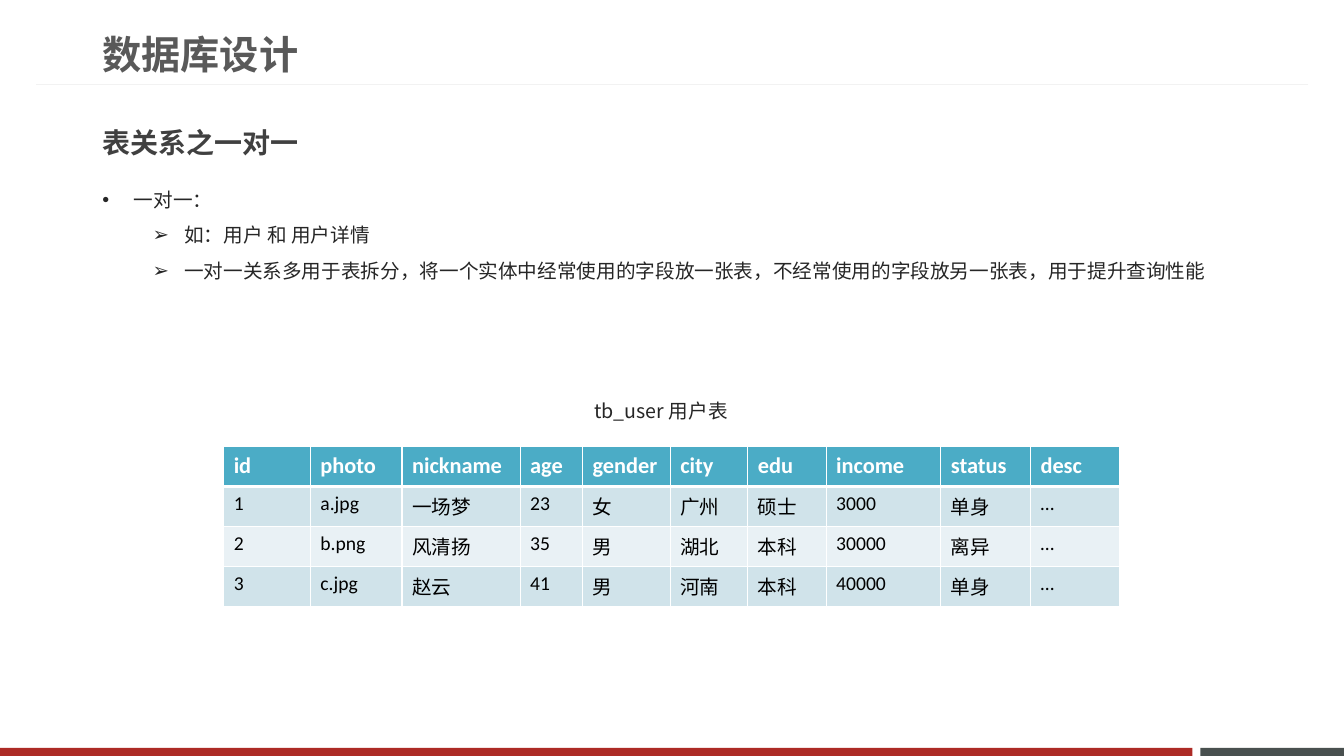
from lxml import etree
from pptx import Presentation
from pptx.dml.color import RGBColor
from pptx.enum.shapes import MSO_CONNECTOR, MSO_SHAPE
from pptx.enum.text import MSO_ANCHOR, MSO_AUTO_SIZE, PP_ALIGN
from pptx.oxml import parse_xml
from pptx.oxml.ns import nsdecls, qn
from pptx.util import Pt

RECT = MSO_SHAPE.RECTANGLE
STRAIGHT = MSO_CONNECTOR.STRAIGHT
MIDDLE = MSO_ANCHOR.MIDDLE
GROW = MSO_AUTO_SIZE.SHAPE_TO_FIT_TEXT
LEFT = PP_ALIGN.LEFT
CJK = "Noto Sans CJK SC"


def rgb(color):
    return RGBColor.from_string(color)


def write(p, text, size, color, bold=False, spacing=None, font=CJK):
    p.text = text
    p.alignment = LEFT
    if spacing:
        p.line_spacing = spacing
    r = p.runs[0]
    r.font.size = Pt(size)
    r.font.bold = bold
    r.font.name = font
    r.font.color.rgb = rgb(color)
    ea = etree.SubElement(r.font._element, qn("a:ea"))
    ea.set("typeface", CJK)


prs = Presentation()
prs.slide_width, prs.slide_height = Pt(960), Pt(540)
s = prs.slides.add_slide(prs.slide_layouts[5])

# Footer bars
for left, width, color in [(857.5, 102.5, "49504F"), (0, 851.8, "AD2B26")]:
    sp = s.shapes.add_shape(RECT, Pt(left), Pt(534.2), Pt(width), Pt(5.8))
    sp.shadow.inherit = False
    sp.fill.solid()
    sp.fill.fore_color.rgb = rgb(color)
    sp.line.fill.background()

# Rule under the title
rule = s.shapes.add_connector(STRAIGHT, Pt(934.5), Pt(60.5), Pt(25.5), Pt(60.5))
rule.line.color.rgb = rgb("F2F2F2")
rule.line.width = Pt(0.75)
etree.SubElement(rule._element.spPr, qn("a:effectLst"))

# Title
title = s.shapes.title
title.left, title.top, title.width, title.height = Pt(66), Pt(-2), Pt(249), Pt(85)
tf = title.text_frame
tf.vertical_anchor = MIDDLE
write(tf.paragraphs[0], "数据库设计", 28, "595959", True, 0.9)

# Text boxes: place, size, colour, bold, lines as (level, bullet, text)
texts = [
    (66, 122.4, 828, 80.6, 14, "262626", False, [
        (0, "•", "一对一："),
        (1, "➢", "如：用户 和 用户详情"),
        (1, "➢", "一对一关系多用于表拆分，将一个实体中经常使用的字段放一张表，"
                 "不经常使用的字段放另一张表，用于提升查询性能"),
    ]),
    (66, 74.2, 368.6, 39.6, 20, "404040", True, [(0, None, "表关系之一对一")]),
    (417.4, 273, 124.6, 29.5, 14, "262626", False, [(0, None, "tb_user 用户表")]),
]
for left, top, width, height, size, color, bold, lines in texts:
    tf = s.shapes.add_textbox(Pt(left), Pt(top), Pt(width), Pt(height)).text_frame
    tf.word_wrap = True
    tf.auto_size = GROW
    for i, (level, bullet, text) in enumerate(lines):
        p = tf.add_paragraph() if i else tf.paragraphs[0]
        write(p, text, size, color, bold, 1.5)
        p.level = level
        if bullet:
            pPr = p._p.get_or_add_pPr()
            pPr.set("marL", str(Pt(22.5 + 36 * level)))
            pPr.set("indent", str(Pt(-22.5)))
            etree.SubElement(pPr, qn("a:buFont")).set("typeface", "Arial")
            etree.SubElement(pPr, qn("a:buChar")).set("char", bullet)

# User table
users = [
    ["id", "photo", "nickname", "age", "gender", "city", "edu", "income", "status", "desc"],
    ["1", "a.jpg", "一场梦", "23", "女", "广州", "硕士", "3000", "单身", "…"],
    ["2", "b.png", "风清扬", "35", "男", "湖北", "本科", "30000", "离异", "…"],
    ["3", "c.jpg", "赵云", "41", "男", "河南", "本科", "40000", "单身", "…"],
]
widths = [61.9, 65.5, 84.4, 44.6, 62.6, 55.4, 56, 82, 64, 64]
fills = ["4BACC6", "D0E3EA", "E9F1F5", "D0E3EA"]
table = s.shapes.add_table(len(users), len(widths), Pt(159.8), Pt(319),
                           Pt(sum(widths)), Pt(114.4)).table
for column, width in zip(table.columns, widths):
    column.width = Pt(width)
for i, user in enumerate(users):
    table.rows[i].height = Pt(28.6)
    for j, value in enumerate(user):
        cell = table.cell(i, j)
        header = i == 0
        write(cell.text_frame.paragraphs[0], value, 16 if header else 14,
              "FFFFFF" if header else "000000", header, font="Calibri")
        # White cell borders, thicker below the header
        for side in "LRTB":
            thick = (header and side == "B") or (i == 1 and side == "T")
            cell._tc.get_or_add_tcPr().append(parse_xml(
                f'<a:ln{side} {nsdecls("a")} w="{Pt(3 if thick else 1)}"><a:solidFill>'
                f'<a:srgbClr val="FFFFFF"/></a:solidFill></a:ln{side}>'))
        cell.fill.solid()
        cell.fill.fore_color.rgb = rgb(fills[i])

prs.save("out.pptx")
